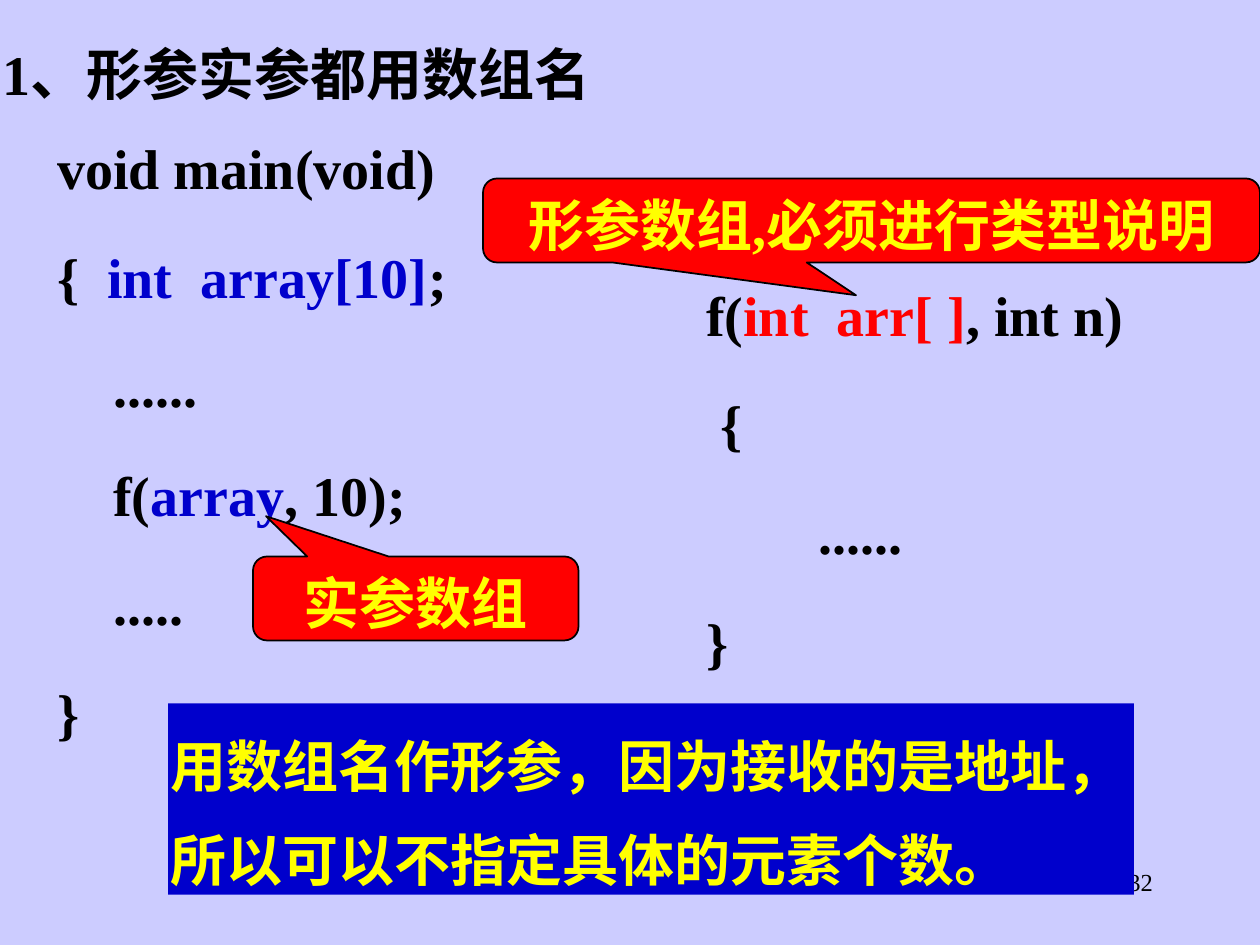
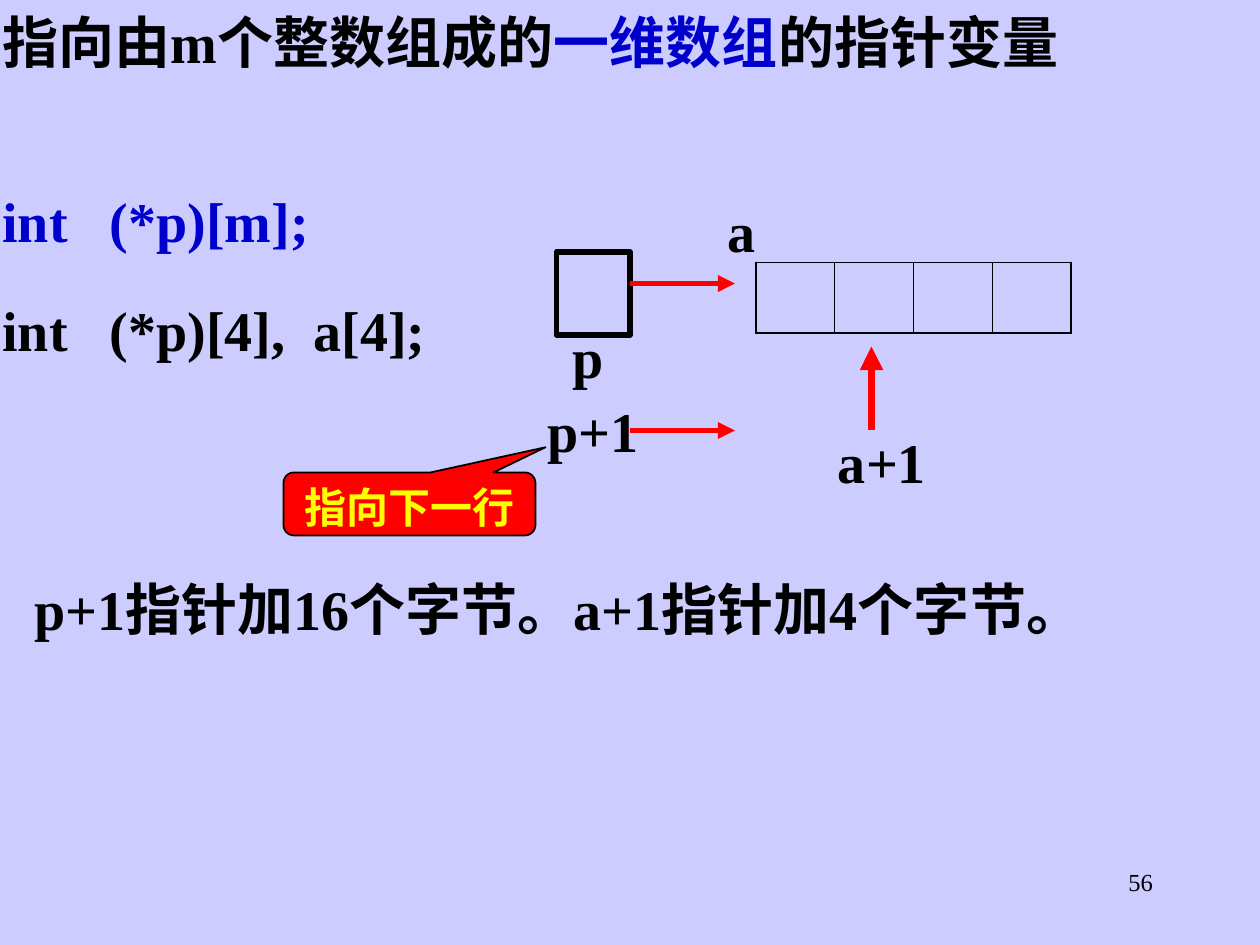
from lxml import etree
from pptx import Presentation
from pptx import util as u
from pptx.dml.color import RGBColor
from pptx.enum import shapes, text
from pptx.oxml import ns

UNIT = u.Inches(1 / 12)
FONT = "Times New Roman"
LAVENDER = RGBColor(0xCC, 0xCC, 0xFF)
BLACK = RGBColor(0, 0, 0)
BLUE = RGBColor(0, 0, 0xCC)
RED = RGBColor(0xFF, 0, 0)
YELLOW = RGBColor(0xFF, 0xFF, 0)
LEFT, CENTER, RIGHT = text.PP_ALIGN.LEFT, text.PP_ALIGN.CENTER, text.PP_ALIGN.RIGHT
TOP, MIDDLE = text.MSO_ANCHOR.TOP, text.MSO_ANCHOR.MIDDLE
TIGHT = (0.02, 0.01)


def grid(*counts):
    """Turn counts of grid units (120 columns by 90 rows) into lengths."""
    return [round(count * UNIT) for count in counts]


def apply(target, values):
    """Set every attribute named in a dict."""
    for name, value in values.items():
        setattr(target, name, value)


def add_xml(parent, tag, **attributes):
    """Append a drawing element to a parent element."""
    return etree.SubElement(parent, ns.qn(tag), attributes)


def write(shape, paragraphs, color=BLACK, size=32, bold=True, align=LEFT,
          spacing=1.1, anchor=TOP, margins=TIGHT):
    """Fill a shape with paragraphs made of strings or (string, colour) runs."""
    frame = shape.text_frame
    side, end = map(u.Inches, margins)
    apply(frame, dict(word_wrap=True, auto_size=text.MSO_AUTO_SIZE.NONE,
                      vertical_anchor=anchor, margin_left=side, margin_right=side,
                      margin_top=end, margin_bottom=end))
    for index, pieces in enumerate(paragraphs):
        paragraph = frame.add_paragraph() if index else frame.paragraphs[0]
        apply(paragraph, dict(alignment=align, line_spacing=spacing,
                              space_before=u.Pt(20 if index else 0)))
        for piece in [pieces] if isinstance(pieces, str) else pieces:
            words, tint = (piece, color) if isinstance(piece, str) else piece
            run = paragraph.add_run()
            run.text = words
            apply(run.font, dict(name=FONT, size=u.Pt(size), bold=bold))
            run.font.color.rgb = tint


def add_text(slide, place, paragraphs, **style):
    """Add a text box at a grid place."""
    write(slide.shapes.add_textbox(*grid(*place)), paragraphs, **style)


def add_box(slide, kind, place, fill=None, line=None, width=1):
    """Add a flat preset shape at a grid place."""
    shape = slide.shapes.add_shape(kind, *grid(*place))
    shape.shadow.inherit = False
    for part, color in ((shape.fill, fill), (shape.line.fill, line)):
        if color is None:
            part.background()
        else:
            part.solid()
            part.fore_color.rgb = color
    if line is not None:
        shape.line.width = u.Pt(width)
    return shape


def add_callout(slide, place, pointer, words, size=32):
    """Add a red speech callout whose pointer is a share of its size."""
    shape = add_box(slide, shapes.MSO_SHAPE.ROUNDED_RECTANGULAR_CALLOUT, place, RED, BLACK)
    for index, value in enumerate(pointer):
        shape.adjustments[index] = value
    write(shape, [words], color=YELLOW, size=size, align=CENTER, anchor=MIDDLE)


def add_arrow(slide, start, end, width=3.25):
    """Add a red arrow between two grid points."""
    arrow = slide.shapes.add_connector(shapes.MSO_CONNECTOR.STRAIGHT, *grid(*start, *end))
    arrow.line.color.rgb = RED
    arrow.line.width = u.Pt(width)
    add_xml(arrow.line._get_or_add_ln(), "a:tailEnd", type="triangle")
    add_xml(arrow._element.spPr, "a:effectLst")


def add_array(slide, place, count):
    """Add a one-row table of empty cells with thin inner borders."""
    table = slide.shapes.add_table(1, count, *grid(*place)).table
    apply(table, dict(first_row=False, horz_banding=False))
    for index, cell in enumerate(table.rows[0].cells):
        properties = cell._tc.get_or_add_tcPr()
        outer = {"L": index == 0, "R": index == count - 1, "T": True, "B": True}
        for side, is_outer in outer.items():
            width = u.Pt(1.08 if is_outer else 0.45)
            border = add_xml(properties, f"a:ln{side}", w=str(width))
            add_xml(add_xml(border, "a:solidFill"), "a:srgbClr", val=str(BLACK))
        cell.fill.background()


def start_slide(presentation, number, title, place):
    """Add a titled slide with its page number."""
    slide = presentation.slides.add_slide(presentation.slide_layouts[5])
    heading = slide.shapes.title
    apply(heading, dict(zip(("left", "top", "width", "height"), grid(*place))))
    write(heading, [title])
    add_text(slide, (86, 82, 25, 6), [str(number)], size=14, bold=False,
             align=RIGHT, spacing=1.0, margins=(0.1, 0.05))
    return slide


def build_array_names(presentation):
    """Build the slide on array names as parameters and arguments."""
    slide = start_slide(presentation, 32, "1、形参实参都用数组名", (0, 3, 78, 7.3))
    add_text(slide, (5.2, 12, 47.2, 59.2), [
        "void main(void)",
        ["{  ", ("int  array[10]", BLUE), ";"],
        "    ......",
        ["    f(", ("array", BLUE), ", 10);"],
        "    .....",
        "}",
    ])
    add_text(slide, (67, 26, 47.2, 38.4), [
        ["f(", ("int  arr[ ]", RED), ", int n)"],
        " {",
        "        ......",
        "}",
    ])
    add_callout(slide, (24.1, 53, 31, 8), (-0.46, -0.98), "实参数组")
    add_callout(slide, (46, 17, 74, 8), (-0.02, 0.89), "形参数组,必须进行类型说明")
    note = add_box(slide, shapes.MSO_SHAPE.RECTANGLE, (16, 67, 92, 18.2), BLUE)
    write(note, ["用数组名作形参，因为接收的是地址，所以可以不指定具体的元素个数。"],
          color=YELLOW, spacing=1.4)


def build_array_pointer(presentation):
    """Build the slide on a pointer to a one-dimensional array."""
    title = ["指向由m个整数组成的", ("一维数组", BLUE), "的指针变量"]
    slide = start_slide(presentation, 56, title, (0, 0, 120, 7.3))
    add_text(slide, (0, 17, 47, 17.8),
             [[("int   (*p)[m];", BLUE)], "int   (*p)[4],  a[4];"])
    add_array(slide, (72, 25, 30, 6.7), 4)
    add_box(slide, shapes.MSO_SHAPE.RECTANGLE, (53, 24, 7, 7.9), line=BLACK, width=3.25)
    for left, top, width, label, align in (
            (69, 18, 8, "a", LEFT), (53, 30, 6, "p", CENTER),
            (77, 40, 14, "a+1", CENTER), (49, 37, 15, "p+1", CENTER),
            (3, 54, 112, "p+1指针加16个字节。a+1指针加4个字节。", LEFT)):
        add_text(slide, (left, top, width, 7.3), [label], align=align)
    for row in (27, 41):
        add_arrow(slide, (60, row), (70, row))
    add_arrow(slide, (83, 41), (83, 33), width=4.5)
    add_callout(slide, (27, 45, 24, 6), (0.54, -0.9), "指向下一行", size=24)


def main():
    """Build and save the presentation."""
    presentation = Presentation()
    presentation.slide_width, presentation.slide_height = grid(120, 90)
    background = presentation.slide_master.background.fill
    background.solid()
    background.fore_color.rgb = LAVENDER
    build_array_names(presentation)
    build_array_pointer(presentation)
    presentation.save("out.pptx")


if __name__ == "__main__":
    main()
